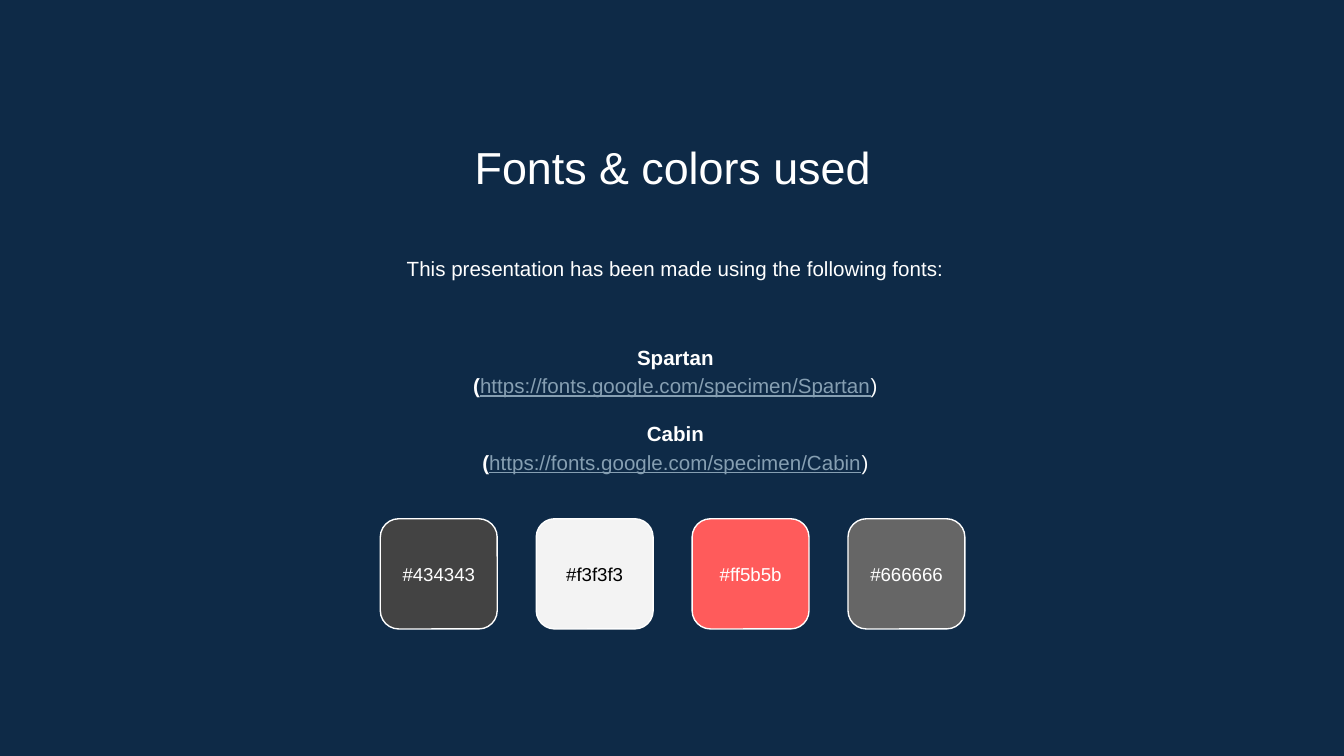
from pptx import Presentation
from pptx.dml.color import RGBColor
from pptx.enum.shapes import MSO_SHAPE
from pptx.enum.text import MSO_ANCHOR, PP_ALIGN
from pptx.util import Inches, Pt

ROUNDED = MSO_SHAPE.ROUNDED_RECTANGLE
CENTER = PP_ALIGN.CENTER
TOP, MIDDLE = MSO_ANCHOR.TOP, MSO_ANCHOR.MIDDLE

FONT = "Arial"
NAVY, WHITE, BLACK, LINK = "0E2A47", "FFFFFF", "000000", "869FB2"

TITLE = "Fonts & colors used"
INTRO = "This presentation has been made using the following fonts:"
FONTS_USED = [
    ("Spartan", "https://fonts.google.com/specimen/Spartan"),
    ("Cabin", "https://fonts.google.com/specimen/Cabin"),
]
SWATCHES = [("#434343", WHITE), ("#f3f3f3", BLACK), ("#ff5b5b", WHITE), ("#666666", WHITE)]

SLIDE_WIDTH = Inches(10)
SLIDE_HEIGHT = SLIDE_WIDTH * 9 // 16
SWATCH_LEFT, SWATCH_TOP, SWATCH_STEP = 2.83, 3.86, 1.16
SWATCH_WIDTH, SWATCH_HEIGHT = 0.87, 0.82


def color(value):
    return RGBColor.from_string(value.lstrip("#").upper())


def set_frame(frame, anchor, margin=0.1):
    frame.word_wrap = True
    frame.vertical_anchor = anchor
    frame.margin_left = frame.margin_right = Inches(margin)
    frame.margin_top = frame.margin_bottom = Inches(margin)


def format_paragraph(paragraph, size, text_color=WHITE, bold=False, spacing=1.0):
    paragraph.alignment = CENTER
    paragraph.line_spacing = spacing
    paragraph.font.name = FONT
    paragraph.font.size = Pt(size)
    paragraph.font.bold = bold
    paragraph.font.color.rgb = color(text_color)


def add_text_box(slide, top, height, anchor):
    box = slide.shapes.add_textbox(Inches(1.17), Inches(top), Inches(7.71), Inches(height))
    set_frame(box.text_frame, anchor)
    return box.text_frame


def add_title(slide):
    title = slide.shapes.title
    title.left, title.top = Inches(1.15), Inches(0.94)
    title.width, title.height = Inches(7.71), Inches(0.53)
    title.text_frame.text = TITLE
    set_frame(title.text_frame, TOP)
    format_paragraph(title.text_frame.paragraphs[0], 24)


def add_font_list(slide):
    frame = add_text_box(slide, 2.35, 1.37, MIDDLE)
    for index, (name, address) in enumerate(FONTS_USED):
        heading = frame.add_paragraph() if index else frame.paragraphs[0]
        heading.text = name
        format_paragraph(heading, 11, bold=True, spacing=1.15)
        if index:
            heading.space_before = Pt(10.6)
        reference = frame.add_paragraph()
        format_paragraph(reference, 11, spacing=1.15)
        opening, link, closing = (reference.add_run() for _ in range(3))
        opening.text, link.text, closing.text = "(", address, ")"
        opening.font.bold = True
        link.font.underline = True
        link.font.color.rgb = color(LINK)


def add_swatch(slide, index, code, text_color):
    swatch = slide.shapes.add_shape(
        ROUNDED,
        Inches(SWATCH_LEFT + index * SWATCH_STEP), Inches(SWATCH_TOP),
        Inches(SWATCH_WIDTH), Inches(SWATCH_HEIGHT),
    )
    swatch.shadow.inherit = False
    swatch.fill.solid()
    swatch.fill.fore_color.rgb = color(code)
    swatch.line.color.rgb = color(WHITE)
    swatch.line.width = Pt(0.75)
    swatch.text_frame.text = code
    set_frame(swatch.text_frame, MIDDLE, margin=0)
    format_paragraph(swatch.text_frame.paragraphs[0], 10, text_color)


def main():
    presentation = Presentation()
    presentation.slide_width, presentation.slide_height = SLIDE_WIDTH, SLIDE_HEIGHT
    slide = presentation.slides.add_slide(presentation.slide_layouts[5])
    slide.background.fill.solid()
    slide.background.fill.fore_color.rgb = color(NAVY)

    add_title(slide)
    intro = add_text_box(slide, 1.78, 0.48, TOP)
    intro.text = INTRO
    format_paragraph(intro.paragraphs[0], 11, spacing=1.15)
    add_font_list(slide)
    for index, (code, text_color) in enumerate(SWATCHES):
        add_swatch(slide, index, code, text_color)

    presentation.save("out.pptx")


if __name__ == "__main__":
    main()
